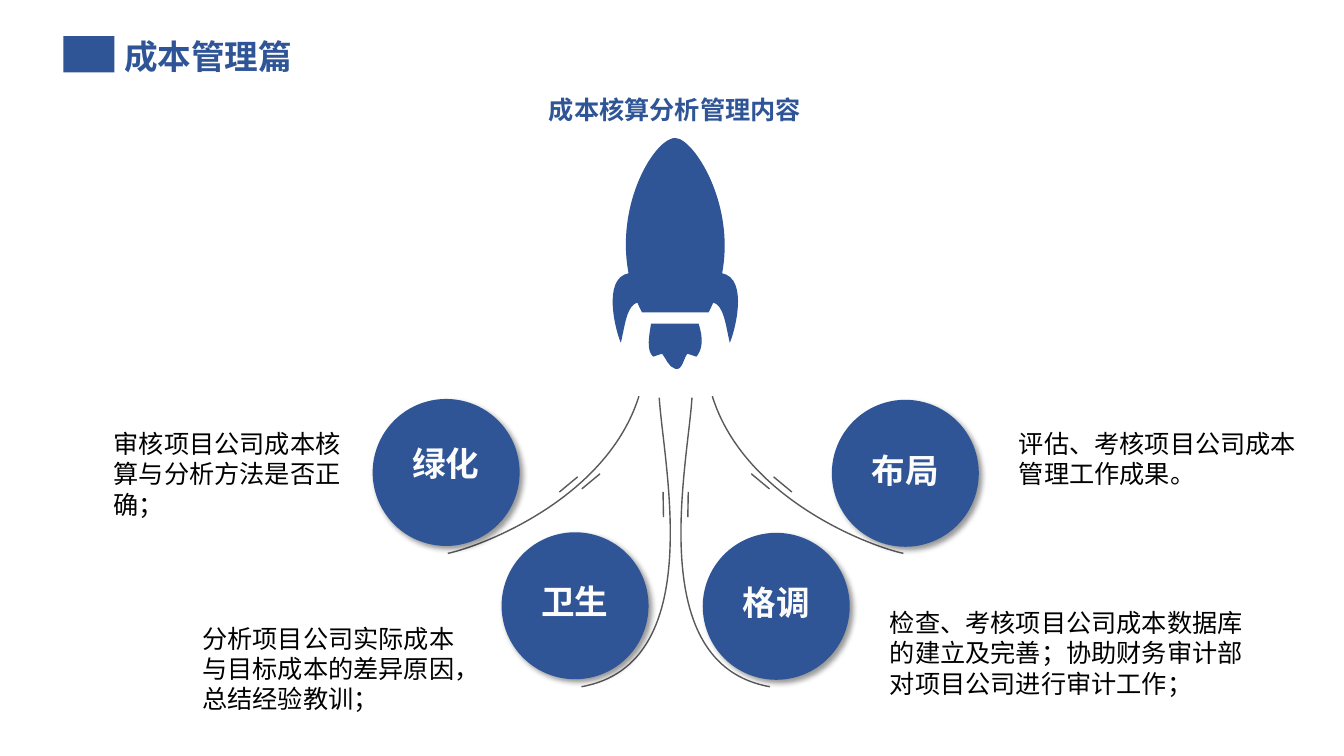
from lxml import etree
from pptx import Presentation
from pptx.dml.color import RGBColor
from pptx.enum.shapes import MSO_SHAPE
from pptx.enum.text import MSO_ANCHOR, MSO_AUTO_SIZE, PP_ALIGN
from pptx.oxml.ns import qn
from pptx.util import Pt

LEFT, CENTER, JUSTIFY = PP_ALIGN.LEFT, PP_ALIGN.CENTER, PP_ALIGN.JUSTIFY
BLUE = RGBColor(0x2F, 0x55, 0x97)
GREY = RGBColor(0x59, 0x59, 0x59)
BLACK = RGBColor(0, 0, 0)
OFF_WHITE = RGBColor(0xFC, 0xFC, 0xFC)
FONT = "Noto Sans CJK SC"

# Text formats
TITLE = {"size": Pt(24), "bold": True, "color": BLUE}
HEADING = {"size": Pt(18), "bold": True, "color": BLUE}
LABEL = {"size": Pt(24), "bold": True, "color": OFF_WHITE}
BODY = {"size": Pt(18), "bold": False, "color": BLACK}

# Outlines as (x from the centre line, y from the top);
# a step of one point is a line, a step of three points is a Bézier curve
HULL = [(23.8, 124.6), [(-23.8, 124.6)],
        [(-54, 65.5), (-17.3, 0), (0, 0)],
        [(15.1, 0), (54.7, 64.8), (23.8, 124.6)]]
FIN = [(-26.6, 117.4),
       [(-34.6, 118.8), (-36, 133.9), (-38.9, 146.2)],
       [(-41.8, 140.4), (-53.3, 100.1), (-33.1, 96.5)],
       [(-26.6, 117.4)]]
FLAME = [(-17.3, 132.5), [(16.6, 132.5)],
         [(20.2, 143.3), (19.4, 151.2), (15.1, 156.2)], [(8.6, 154.1)],
         [(5.8, 157.7), (5, 166.3), (0, 164.9)],
         [(-5, 163.4), (-6.5, 157.7), (-9.4, 154.1)], [(-15.8, 156.2)],
         [(-20.9, 151.9), (-18.7, 141.1), (-17.3, 132.5)]]
TRAILS = [[(-26.2, 0), [(-48.4, 71.3), (-134.1, 105.8), (-162.7, 112.3)]],
          [(-11.7, 1), [(-8.8, 49), (23.4, 191.5), (-67.3, 207.5)]]]
SPEED_MARKS = [[(-70, 57.6), [(-83, 68.4)]],
               [(-54, 55.4), [(-67, 66.2)]],
               [(-9, 68.4), [(-8.7, 86.4)]]]


def flatten(outline, steps=24):
    """List points along the outline, to find how far it reaches."""
    points = [outline[0]]
    for step in outline[1:]:
        if len(step) == 1:
            points += step
            continue
        corners = [points[-1], *step]
        for i in range(1, steps + 1):
            t = i / steps
            weights = ((1 - t) ** 3, 3 * t * (1 - t) ** 2,
                       3 * t * t * (1 - t), t ** 3)
            points.append(tuple(sum(w * c[axis] for w, c in zip(weights, corners))
                                for axis in (0, 1)))
    return points


def add_outline(slide, outline, axis, top, side=1, closed=True):
    def place(point):
        return Pt(axis + side * point[0]), Pt(top + point[1])

    points = [place(point) for point in flatten(outline)]
    builder = slide.shapes.build_freeform(*points[0])
    builder.add_line_segments(points[1:], close=closed)
    shape = builder.convert_to_shape()

    # Redraw the segments as true curves
    route = shape._element.spPr.find(".//" + qn("a:path"))
    for segment in list(route):
        route.remove(segment)
    tags = {1: "a:lnTo", 3: "a:cubicBezTo"}
    moves = [("a:moveTo", outline[:1])]
    moves += [(tags[len(step)], step) for step in outline[1:]]
    for tag, step in moves:
        segment = etree.SubElement(route, qn(tag))
        for x, y in map(place, step):
            etree.SubElement(segment, qn("a:pt"), x=str(x - shape.left),
                             y=str(y - shape.top))
    if closed:
        etree.SubElement(route, qn("a:close"))
        fill_blue(shape)
    else:
        shape.shadow.inherit = False
        shape.fill.background()
        shape.line.color.rgb = GREY
        shape.line.width = Pt(1)


def fill_blue(shape):
    shape.shadow.inherit = False
    shape.fill.solid()
    shape.fill.fore_color.rgb = BLUE
    shape.line.fill.background()


def add_blue_shape(slide, kind, box):
    shape = slide.shapes.add_shape(kind, *map(Pt, box))
    fill_blue(shape)
    return shape


def write(shape, text, style, align=LEFT, wrap=True):
    frame = shape.text_frame
    layout = {"word_wrap": wrap, "vertical_anchor": MSO_ANCHOR.TOP,
              "auto_size": MSO_AUTO_SIZE.SHAPE_TO_FIT_TEXT}
    for name, value in layout.items():
        setattr(frame, name, value)
    paragraph = frame.paragraphs[0]
    paragraph.alignment = align
    run = paragraph.add_run()
    run.text = text
    run.font.color.rgb = style["color"]
    for name in ("size", "bold"):
        setattr(run.font, name, style[name])
    run.font.name = FONT
    east_asian = etree.SubElement(run.font._element, qn("a:ea"))
    east_asian.set("typeface", FONT)


def add_text(slide, box, text, style, align=LEFT):
    write(slide.shapes.add_textbox(*map(Pt, box)), text, style, align)


def add_title(slide, left, top):
    add_text(slide, (left + 36.4, top - 3.6, 161, 36.3), "成本管理篇", TITLE, JUSTIFY)
    add_blue_shape(slide, MSO_SHAPE.RECTANGLE, (left, top, 36.5, 26))


def add_rocket(slide, axis, top):
    add_outline(slide, HULL, axis, top)
    for side in (1, -1):
        add_outline(slide, FIN, axis, top, side)
    add_outline(slide, FLAME, axis, top)


def add_exhaust(slide, axis, top):
    for side in (1, -1):
        for stroke in TRAILS + SPEED_MARKS:
            add_outline(slide, stroke, axis, top, side, closed=False)


def add_topic(slide, left, top, label, label_drop, description, description_box):
    diameter = 105
    disc = add_blue_shape(slide, MSO_SHAPE.OVAL, (left, top, diameter, diameter))
    # Soft shadow to the lower right
    effects = disc._element.spPr.find(qn("a:effectLst"))
    shadow = etree.SubElement(effects, qn("a:outerShdw"), blurRad=str(Pt(4)),
                              dist=str(Pt(3)), dir="2700000", algn="tl",
                              rotWithShape="0")
    tint = etree.SubElement(shadow, qn("a:srgbClr"), val="000000")
    etree.SubElement(tint, qn("a:alpha"), val="40000")
    plate = add_blue_shape(slide, MSO_SHAPE.RECTANGLE,
                           (left + 21.3, top + label_drop, 63.2, 36.3))
    write(plate, label, LABEL, wrap=False)
    add_text(slide, description_box, description, BODY)


def main():
    deck = Presentation()
    deck.slide_width, deck.slide_height = Pt(960), Pt(540)
    slide = deck.slides.add_slide(deck.slide_layouts[6])
    axis = 482.4

    add_rocket(slide, axis, 98.6)
    add_exhaust(slide, axis + 0.2, 283)

    topics = [
        (266.2, 285, "绿化", 28, "审核项目公司成本核算与分析方法是否正确；",
         (74.2, 302.4, 183, 72.7)),
        (358.3, 380.2, "卫生", 31.4, "分析项目公司实际成本与目标成本的差异原因，总结经验教训；",
         (137.5, 441.4, 205, 72.7)),
        (502, 380.6, "格调", 31.6, "检查、考核项目公司成本数据库的建立及完善；协助财务审计部对项目公司进行审计工作；",
         (628.6, 430.3, 275, 72.7)),
        (594.2, 285.6, "布局", 32.4, "评估、考核项目公司成本管理工作成果。",
         (720.7, 302.4, 213, 50.9)),
    ]
    for topic in topics:
        add_topic(slide, *topic)

    add_text(slide, (axis - 106.8, 63.7, 213, 29.1), "成本核算分析管理内容",
             HEADING, CENTER)
    add_title(slide, 45.2, 25.8)
    deck.save("out.pptx")


if __name__ == "__main__":
    main()
